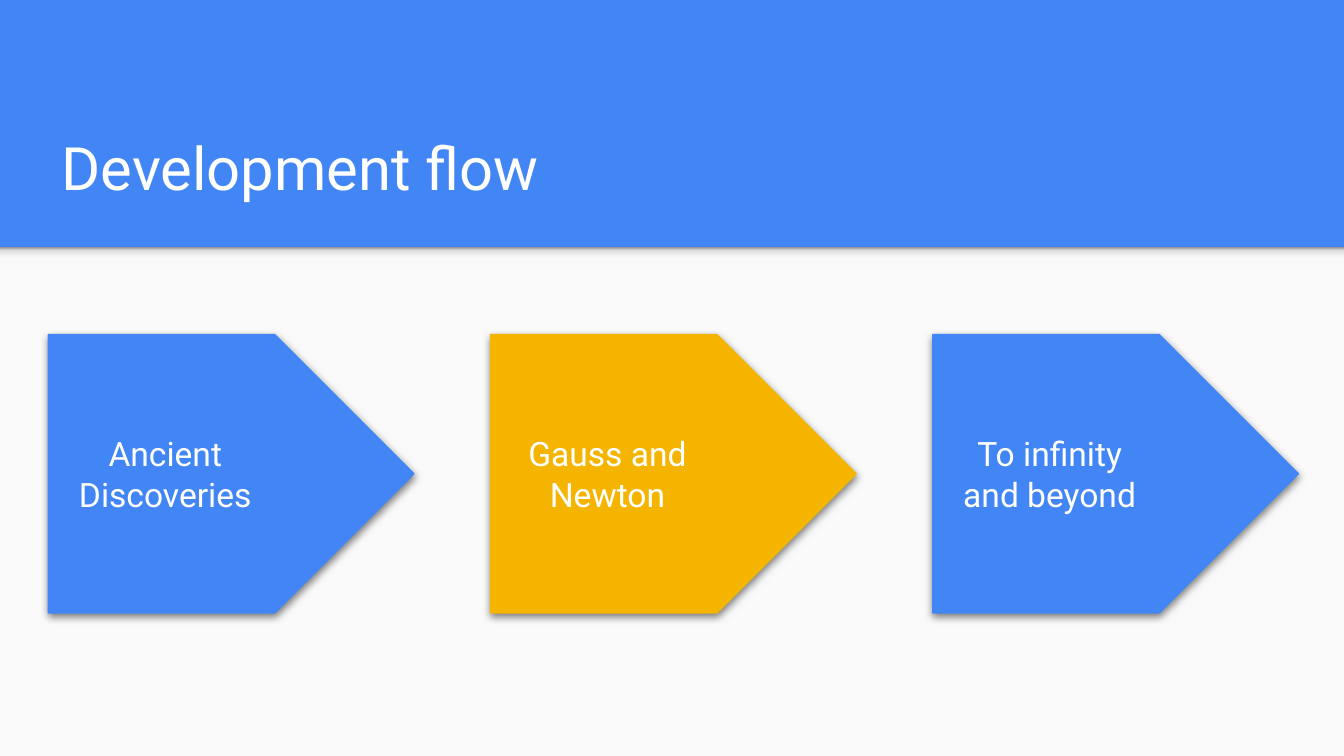
from dataclasses import dataclass

from lxml import etree
from pptx import Presentation
from pptx import util as u
from pptx.dml.color import RGBColor
from pptx.enum import shapes, text
from pptx.oxml import parse_xml
from pptx.oxml.ns import nsdecls, qn

WIDTH = 10
HEIGHT = WIDTH * 9 / 16
MARGIN, STEP = 0.36, 3.29
BAND_BOTTOM = 1.84
STAGE_TOP, STAGE_WIDTH, STAGE_HEIGHT = 2.49, 2.72, 2.07
LABEL_SHARE = 0.64
BLUE, AMBER, PAPER, WHITE = "4285F4", "F4B400", "FAFAFA", "FFFFFF"
EDGE_STOPS = ((0, "F9F9F9"), (36, "F9F9F9"), (80, "DEDEDE"), (100, "999999"))


@dataclass(frozen=True)
class Box:
    left: float
    top: float
    width: float
    height: float

    def emu(self) -> list:
        return [u.Inches(v) for v in (self.left, self.top, self.width, self.height)]


@dataclass(frozen=True)
class Stage:
    label: str
    column: int
    colour: str


STAGES = (
    Stage("Ancient Discoveries", 0, BLUE),
    Stage("Gauss and Newton", 1, AMBER),
    Stage("To infinity and beyond", 2, BLUE),
)


def rgb(value: str) -> RGBColor:
    return RGBColor.from_string(value)


def add_block(slide, kind, box: Box, colour: str):
    block = slide.shapes.add_shape(kind, *box.emu())
    block.shadow.inherit = False
    block.fill.solid()
    block.fill.fore_color.rgb = rgb(colour)
    block.line.fill.background()
    return block


def add_text(slide, box: Box, words: str, *, size: float, anchor, align) -> None:
    frame = slide.shapes.add_textbox(*box.emu()).text_frame
    frame.word_wrap = True
    frame.vertical_anchor = anchor
    frame.margin_left = frame.margin_right = u.Inches(0.1)
    frame.margin_top = frame.margin_bottom = u.Inches(0.1)
    paragraph = frame.paragraphs[0]
    paragraph.alignment = align
    run = paragraph.add_run()
    run.text = words
    run.font.name = "Roboto"
    run.font.size = u.Pt(size)
    run.font.color.rgb = rgb(WHITE)


def add_band_edge(slide) -> None:
    box = Box(0, BAND_BOTTOM, WIDTH, 0.12)
    edge = add_block(slide, shapes.MSO_SHAPE.RECTANGLE, box, PAPER)
    stops = "".join(
        f'<a:gs pos="{share * 1000}"><a:srgbClr val="{colour}"/></a:gs>'
        for share, colour in EDGE_STOPS
    )
    gradient = parse_xml(
        f'<a:gradFill {nsdecls("a")}><a:gsLst>{stops}</a:gsLst>'
        '<a:lin ang="16200000" scaled="0"/></a:gradFill>'
    )
    properties = edge._element.spPr
    properties.replace(properties.find(qn("a:solidFill")), gradient)


def add_drop_shadow(block) -> None:
    effects = block._element.spPr.find(qn("a:effectLst"))
    shadow = etree.SubElement(
        effects, qn("a:outerShdw"), blurRad=str(u.Pt(4.5)), dist=str(u.Pt(1.5)),
        dir="5400000", algn="bl", rotWithShape="0",
    )
    black = etree.SubElement(shadow, qn("a:srgbClr"), val="000000")
    etree.SubElement(black, qn("a:alpha"), val="50000")


def stage_box(stage: Stage, share: float = 1) -> Box:
    left = MARGIN + stage.column * STEP
    return Box(left, STAGE_TOP, STAGE_WIDTH * share, STAGE_HEIGHT)


def add_arrow(slide, stage: Stage) -> None:
    arrow = add_block(slide, shapes.MSO_SHAPE.PENTAGON, stage_box(stage), stage.colour)
    arrow.adjustments[0] = 0.5
    arrow.line.color.rgb = rgb(stage.colour)
    arrow.line.width = u.Pt(0.75)
    add_drop_shadow(arrow)


def main() -> None:
    """Build the development flow slide."""
    deck = Presentation()
    deck.slide_width, deck.slide_height = u.Inches(WIDTH), u.Inches(HEIGHT)
    slide = deck.slides.add_slide(deck.slide_layouts[6])
    slide.background.fill.solid()
    slide.background.fill.fore_color.rgb = rgb(BLUE)

    body = Box(0, BAND_BOTTOM, WIDTH, HEIGHT - BAND_BOTTOM)
    add_block(slide, shapes.MSO_SHAPE.RECTANGLE, body, PAPER)
    add_band_edge(slide)
    add_text(slide, Box(MARGIN, 0.77, 8.99, 0.84), "Development flow", size=32,
             anchor=text.MSO_ANCHOR.BOTTOM, align=text.PP_ALIGN.LEFT)
    for stage in STAGES:
        add_arrow(slide, stage)
    for stage in STAGES:
        add_text(slide, stage_box(stage, LABEL_SHARE), stage.label, size=18,
                 anchor=text.MSO_ANCHOR.MIDDLE, align=text.PP_ALIGN.CENTER)
    deck.save("out.pptx")


if __name__ == "__main__":
    main()
